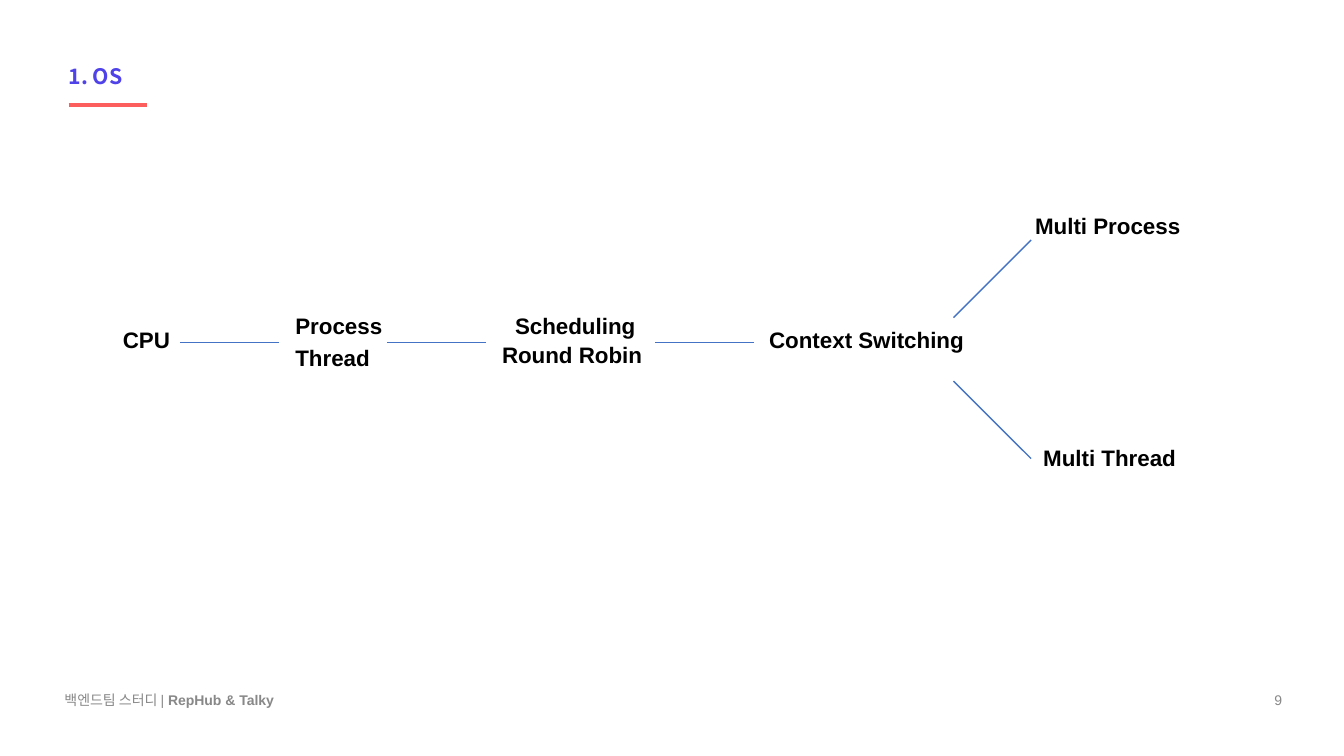
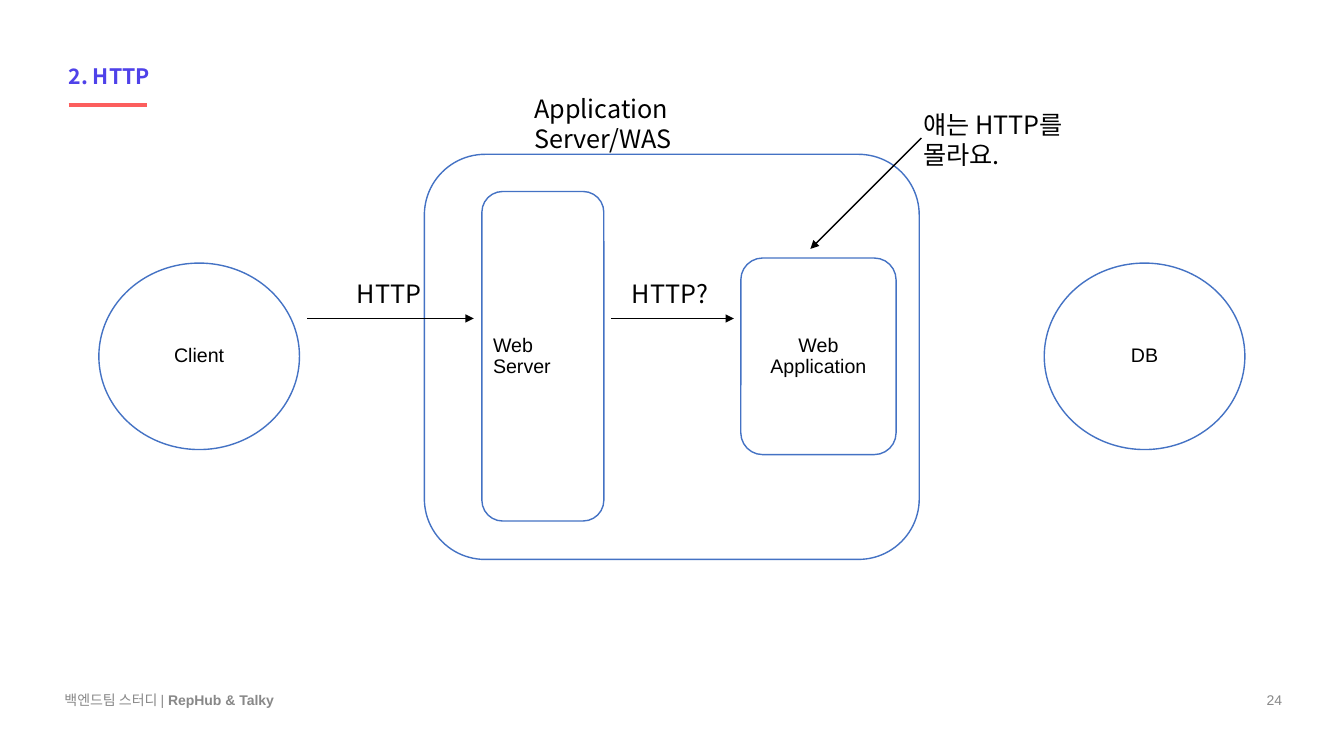
from pptx import Presentation
from pptx.dml.color import RGBColor
from pptx.enum.shapes import MSO_CONNECTOR, MSO_SHAPE
from pptx.enum.text import MSO_ANCHOR, MSO_AUTO_SIZE, PP_ALIGN
from pptx.oxml.ns import qn
from pptx.util import Pt
from lxml.etree import SubElement

INDIGO = RGBColor(0x4F, 0x42, 0xE9)
CORAL = RGBColor(0xFC, 0x5E, 0x5D)
BLUE = RGBColor(0x44, 0x72, 0xC4)
GRAY = RGBColor(0x88, 0x88, 0x88)
BLACK = RGBColor(0, 0, 0)
WHITE = RGBColor(255, 255, 255)
SANS, KOREAN = "Arial", "Noto Sans CJK KR"
LEFT, CENTER, RIGHT = PP_ALIGN.LEFT, PP_ALIGN.CENTER, PP_ALIGN.RIGHT

FOOTER = ("백엔드팀 스터디 | ", "RepHub & Talky")

# Concept map: text, left, top
TOPICS = [
    ("CPU", 84.2, 231.8),
    ("Process", 207.4, 221.8),
    ("Thread", 207.4, 244.8),
    ("Scheduling", 364.3, 221.8),
    ("Round Robin", 355, 242.6),
    ("Context Switching", 545.8, 231.8),
    ("Multi Process", 735.8, 150.5),
    ("Multi Thread", 741.6, 316.1),
]
TOPIC_W, TOPIC_H = 152, 56
LINK_Y, LINK_W = 244.8, 70.4
LINK_XS = [128.9, 276.5, 468]
FORK_X, FORK_W = 681.1, 55.4
FORKS = [(226.8, -FORK_W), (272.2, FORK_W)]  # start y, rise

# Request flow: text, shape, box, corner, alignment
OVAL, ROUND = MSO_SHAPE.OVAL, MSO_SHAPE.ROUNDED_RECTANGLE
NODES = [
    ("Client", OVAL, (70.6, 187.9, 143.3, 133.2), None, CENTER),
    ("DB", OVAL, (745.9, 187.9, 143.3, 133.2), None, CENTER),
    ("", ROUND, (303.1, 110.2, 353.5, 289.4), 0.15, CENTER),
    ("Web Server", ROUND, (344.2, 136.8, 87.1, 235.4), 0.17, LEFT),
    ("Web Application", ROUND, (529.2, 184.3, 110.9, 140.4), 0.14, CENTER),
]
LABELS = [
    ("Application\vServer/WAS", (378, 63.4, 204.5, 50)),
    ("HTTP", (251.3, 195.2, 60, 29.5)),
    ("HTTP?", (447.8, 195.2, 70, 29.5)),
    ("얘는 HTTP를\v몰라요.", (656, 75, 163.4, 50)),
]
ARROWS = [
    (219.6, 227.5, 338.4, 227.5),
    (436.3, 227.5, 524.2, 227.5),
    (658.1, 98.6, 578.9, 177.8),
]


def write(shape, text, size, face=SANS, color=BLACK, bold=False,
          align=LEFT, anchor=MSO_ANCHOR.TOP, space=None):
    frame = shape.text_frame
    frame.auto_size = MSO_AUTO_SIZE.NONE
    frame.word_wrap = True
    frame.vertical_anchor = anchor
    frame.margin_left = frame.margin_right = Pt(3.6)
    frame.margin_top = frame.margin_bottom = Pt(3.6)
    frame.text = text
    para = frame.paragraphs[0]
    para.alignment = align
    para.line_spacing = space
    font = para.font
    font.name, font.size, font.bold = face, Pt(size), bold
    font.color.rgb = color
    return para


def add_text(slide, box, text, size, **style):
    shape = slide.shapes.add_textbox(*map(Pt, box))
    return write(shape, text, size, **style)


def add_line(slide, ends, color, width=1, arrow=False):
    line = slide.shapes.add_connector(MSO_CONNECTOR.STRAIGHT, *map(Pt, ends))
    line.line.color.rgb = color
    line.line.width = Pt(width)
    if arrow:
        SubElement(line.line._get_or_add_ln(), qn("a:tailEnd"), type="triangle")
    SubElement(line._element.spPr, qn("a:effectLst"))


def add_node(slide, text, kind, box, corner, align):
    node = slide.shapes.add_shape(kind, *map(Pt, box))
    node.shadow.inherit = False
    node.fill.solid()
    node.fill.fore_color.rgb = WHITE
    node.line.color.rgb = BLUE
    node.line.width = Pt(1)
    if corner:
        node.adjustments[0] = corner
    if text:
        write(node, text, 14, align=align, anchor=MSO_ANCHOR.MIDDLE, space=0.9)


def add_page(deck, title, number):
    slide = deck.slides.add_slide(deck.slide_layouts[5])
    head = slide.shapes.title
    head.left, head.top, head.width, head.height = map(Pt, (45.4, 43.4, 310, 24.5))
    write(head, title, 15.2, face=KOREAN, color=INDIGO, bold=True, space=Pt(16.4))
    add_line(slide, (49, 74.9, 105.1, 74.9), CORAL, 3)
    # Footer and page number
    style = dict(color=GRAY, anchor=MSO_ANCHOR.MIDDLE)
    note = add_text(slide, (42.5, 489.6, 324, 20), FOOTER[0], 10, **style)
    team = note.add_run()
    team.text = FOOTER[1]
    team.font.bold = True
    add_text(slide, (883.4, 489.6, 36, 20), str(number), 10, align=RIGHT, **style)
    return slide


def main():
    deck = Presentation()
    deck.slide_width, deck.slide_height = Pt(960), Pt(540)

    # Operating system topics
    slide = add_page(deck, "1. OS", 9)
    for text, x, y in TOPICS:
        add_text(slide, (x, y, TOPIC_W, TOPIC_H), text, 16, bold=True, space=0.9)
    for x in LINK_XS:
        add_line(slide, (x, LINK_Y, x + LINK_W, LINK_Y), BLUE)
    for y, rise in FORKS:
        add_line(slide, (FORK_X, y, FORK_X + FORK_W, y + rise), BLUE)

    # Request flow
    slide = add_page(deck, "2. HTTP", 24)
    for node in NODES:
        add_node(slide, *node)
    for text, box in LABELS:
        add_text(slide, box, text, 18, face=KOREAN, space=Pt(21.4))
    for ends in ARROWS:
        add_line(slide, ends, BLACK, arrow=True)

    deck.save("out.pptx")


if __name__ == "__main__":
    main()
